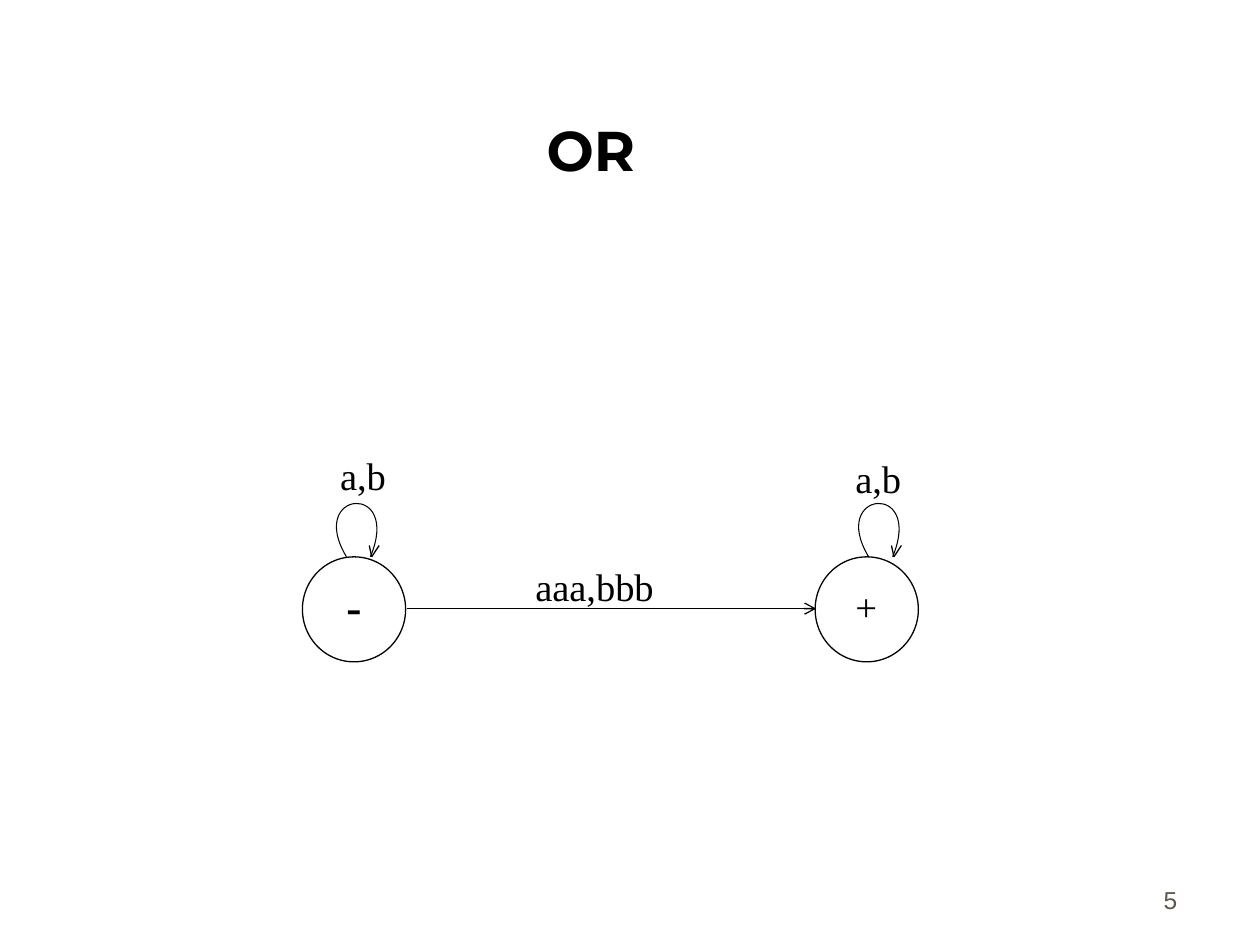
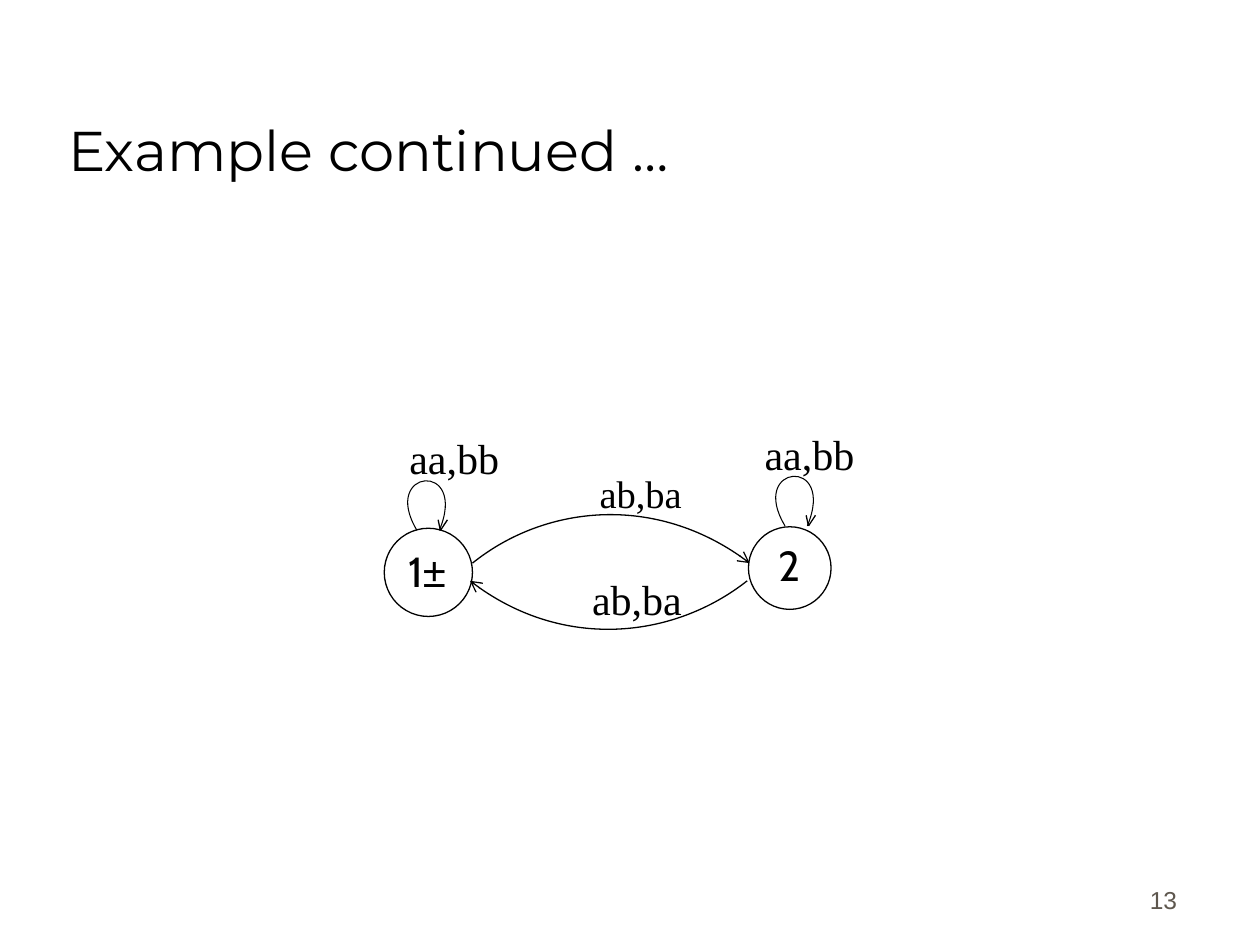
from pptx import Presentation
from pptx.dml.color import RGBColor
from pptx.enum.shapes import MSO_CONNECTOR as Connector, MSO_SHAPE as Preset
from pptx.enum.text import MSO_ANCHOR as Anchor, PP_ALIGN as Align
from pptx.oxml.ns import qn
from pptx.util import Pt
from lxml.etree import SubElement

BLACK = RGBColor(0, 0, 0)
WHITE = RGBColor(255, 255, 255)
GRAY = RGBColor(0x5E, 0x57, 0x4E)
SERIF, SANS, HEADING, ROUNDED = "Times New Roman", "Arial", "Montserrat", "Cabin"
LINE, LOOP_LINE = 0.74, 0.6

TITLE_BOX = (31.7, 18, 612, 90)
NUMBER_BOX = (529.9, 490.3, 149.8, 36)
LOOP_CURVE = ((0, 0), (-23, -38), (31.7, -43.2), (13.7, 0))
LOOP_BARBS = (((14.4, 0), (18.7, -6.5)), ((13, -6.5), (14.4, 0)))

SLIDES = [
    dict(
        title="OR", bold=True, align=Align.CENTER, number="5",
        states=[(172.8, 318.2, 59, 60), (465.8, 318.2, 59, 60)],
        loops=[(198, 318.2, 1), (496.4, 318.2, 1)],
        straight=[(232.6, 347.8, 466.4, 347.8)],
        arcs=[],
        labels=[
            ((298.8, 318.2, 102.2, 48.2), [("aaa,bbb", SERIF, 22, False)]),
            ((481.7, 256.3, 70.6, 48.2), [("a,b", SERIF, 22, False)]),
            ((187.2, 254.9, 70.6, 48.2), [("a,b", SERIF, 22, False)]),
            ((481.7, 329.8, 70.6, 48.2), [("+", SERIF, 22, False)]),
            ((190.8, 326.9, 70.6, 48.2), [("-", SERIF, 26, True)]),
        ],
    ),
    dict(
        title="Example continued …", bold=False, align=Align.LEFT, number="13",
        states=[(219.6, 301.9, 50.4, 50.4), (427.7, 301, 47.2, 47.2)],
        loops=[(238.3, 303.1, 0.93), (448.6, 300.5, 0.93)],
        straight=[],
        arcs=[
            ((427, 331.9), (385.9, 364.3), (320.4, 372.2), (268.6, 331.9)),
            ((270, 321.8), (310.3, 289.4), (375.8, 281.5), (428.4, 321.8)),
        ],
        labels=[
            ((331.2, 324, 78.5, 37.4), [("ab,ba", SERIF, 24, False)]),
            ((335.5, 265, 72.7, 35.3), [("ab,ba", SERIF, 22, False)]),
            ((226.1, 308.2, 55.4, 28.1), [("1", ROUNDED, 24, False), ("±", SANS, 24, False)]),
            ((429.8, 241.2, 78.5, 37.4), [("aa,bb", SERIF, 24, False)]),
            ((226.8, 243.4, 78.5, 37.4), [("aa,bb", SERIF, 24, False)]),
            ((437.8, 304.6, 55.4, 28.1), [("2", ROUNDED, 24, False)]),
        ],
    ),
]


def write(shape, runs, color=BLACK, align=Align.LEFT, anchor=Anchor.TOP):
    frame = shape.text_frame
    frame.word_wrap = True
    frame.vertical_anchor = anchor
    frame.margin_left = frame.margin_right = Pt(7.2)
    frame.margin_top = frame.margin_bottom = Pt(3.6)
    paragraph = frame.paragraphs[0]
    paragraph.alignment = align
    for text, font, size, bold in runs:
        run = paragraph.add_run()
        run.text = text
        run.font.name, run.font.size, run.font.bold = font, Pt(size), bold
        run.font.color.rgb = color


def add_text(slide, box, runs, **style):
    write(slide.shapes.add_textbox(*map(Pt, box)), runs, **style)


def stroke(shape, width=LINE):
    shape.line.color.rgb = BLACK
    shape.line.width = Pt(width)


def add_arrowhead(shape):
    SubElement(shape.line._get_or_add_ln(), qn("a:tailEnd"), type="arrow")


def add_state(slide, box):
    state = slide.shapes.add_shape(Preset.OVAL, *map(Pt, box))
    state.shadow.inherit = False
    state.fill.solid()
    state.fill.fore_color.rgb = WHITE
    stroke(state)


def add_straight_arrow(slide, ends):
    arrow = slide.shapes.add_connector(Connector.STRAIGHT, *map(Pt, ends))
    stroke(arrow)
    add_arrowhead(arrow)
    SubElement(arrow._element.spPr, qn("a:effectLst"))


def add_path(slide, points, width=LINE):
    start, *rest = [(Pt(x), Pt(y)) for x, y in points]
    builder = slide.shapes.build_freeform(*start)
    builder.add_line_segments(rest, close=False)
    shape = builder.convert_to_shape()
    shape.shadow.inherit = False
    shape.fill.background()
    stroke(shape, width)
    return shape


def add_curve(slide, points, width=LINE):
    shape = add_path(slide, points, width)
    outline = next(shape._element.iter(qn("a:path")))
    segments = outline.findall(qn("a:lnTo"))
    bezier = SubElement(outline, qn("a:cubicBezTo"))
    for segment in segments:
        bezier.append(segment[0])
        outline.remove(segment)
    return shape


def add_loop(slide, x, y, scale):
    def place(points):
        return [(x + dx * scale, y + dy * scale) for dx, dy in points]

    add_curve(slide, place(LOOP_CURVE), LOOP_LINE)
    for barb in LOOP_BARBS:
        add_path(slide, place(barb))


def add_slide(presentation, content):
    slide = presentation.slides.add_slide(presentation.slide_layouts[5])
    title = slide.shapes.title
    title.left, title.top, title.width, title.height = map(Pt, TITLE_BOX)
    write(title, [(content["title"], HEADING, 32, content["bold"])],
          align=content["align"], anchor=Anchor.BOTTOM)
    add_text(slide, NUMBER_BOX, [(content["number"], SANS, 14, False)],
             color=GRAY, align=Align.RIGHT, anchor=Anchor.BOTTOM)
    for box in content["states"]:
        add_state(slide, box)
    for ends in content["straight"]:
        add_straight_arrow(slide, ends)
    for points in content["arcs"]:
        add_arrowhead(add_curve(slide, points))
    for box, runs in content["labels"]:
        add_text(slide, box, runs)
    for loop in content["loops"]:
        add_loop(slide, *loop)


presentation = Presentation()
presentation.slide_width, presentation.slide_height = Pt(720), Pt(540)
for content in SLIDES:
    add_slide(presentation, content)
presentation.save("out.pptx")
